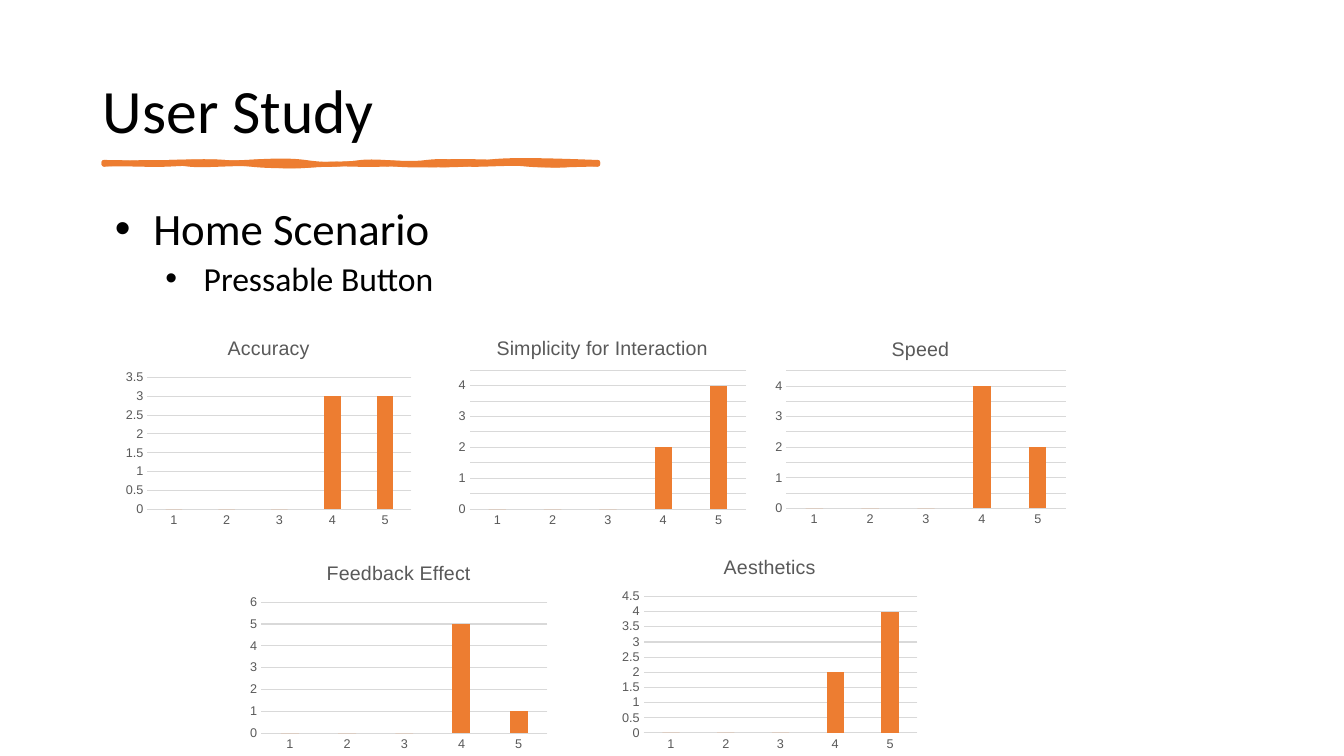
from lxml import etree
from pptx import Presentation
from pptx.chart.data import CategoryChartData
from pptx.dml.color import RGBColor
from pptx.enum.chart import XL_CHART_TYPE, XL_TICK_MARK
from pptx.enum.text import MSO_ANCHOR, MSO_AUTO_SIZE, PP_ALIGN
from pptx.oxml.ns import qn
from pptx.util import Inches, Pt

COLUMN = XL_CHART_TYPE.COLUMN_CLUSTERED
NO_TICK = XL_TICK_MARK.NONE
MIDDLE = MSO_ANCHOR.MIDDLE
NO_FIT = MSO_AUTO_SIZE.NONE
LEFT = PP_ALIGN.LEFT

ORANGE, BLACK, GREY, PALE = "ED7D31", "000000", "595959", "D9D9D9"

TITLE = "User Study"
# text, level, left margin, size, space before
BULLETS = [("Home Scenario", 0, 0.5, 32, 0), ("Pressable Button", 1, 1, 24, 5)]

SCORES = ["1", "2", "3", "4", "5"]
# title, votes for each score, (left, top, width, height)
CHARTS = [
    ("Accuracy", (0, 0, 0, 3, 3), (1.19, 3.2, 2.95, 2.08)),
    ("Simplicity for Interaction", (0, 0, 0, 2, 4), (4.49, 3.2, 2.97, 2.08)),
    ("Speed", (0, 0, 0, 4, 2), (7.63, 3.21, 3, 2.06)),
    ("Feedback Effect", (0, 0, 0, 5, 1), (2.42, 5.43, 3.07, 2.07)),
    ("Aesthetics", (0, 0, 0, 2, 4), (6.11, 5.37, 3.05, 2.13)),
]

# Brush strokes: a start point, then curves of two controls and an end
START = (1.03, 1.61)
STROKES = [
    [(1.32, 1.62, 1.39, 1.62, 1.68, 1.61), (1.96, 1.61, 1.97, 1.6, 2.23, 1.61),
     (2.49, 1.63, 2.59, 1.58, 2.83, 1.61), (3.07, 1.64, 3.4, 1.64, 3.58, 1.61),
     (3.76, 1.59, 4, 1.64, 4.23, 1.61), (4.46, 1.58, 4.66, 1.64, 4.83, 1.61),
     (5.01, 1.58, 5.41, 1.59, 5.93, 1.61), (5.93, 1.62, 5.93, 1.62, 5.93, 1.63),
     (5.74, 1.63, 5.43, 1.65, 5.23, 1.63), (5.02, 1.61, 4.91, 1.62, 4.62, 1.63),
     (4.34, 1.65, 4.12, 1.62, 3.83, 1.63), (3.53, 1.64, 3.38, 1.62, 3.18, 1.63),
     (2.98, 1.65, 2.87, 1.66, 2.62, 1.63), (2.37, 1.61, 2.03, 1.65, 1.87, 1.63),
     (1.72, 1.61, 1.42, 1.6, 1.03, 1.63)],
    [(1.34, 1.61, 1.38, 1.63, 1.68, 1.61), (1.98, 1.6, 2.11, 1.6, 2.23, 1.61),
     (2.35, 1.63, 2.75, 1.57, 3.03, 1.61), (3.31, 1.65, 3.41, 1.62, 3.68, 1.61),
     (3.95, 1.61, 4.07, 1.64, 4.33, 1.61), (4.59, 1.59, 4.81, 1.61, 5.13, 1.61),
     (5.45, 1.61, 5.73, 1.63, 5.93, 1.61), (5.93, 1.62, 5.93, 1.63, 5.93, 1.63),
     (5.71, 1.61, 5.62, 1.66, 5.32, 1.63), (5.03, 1.61, 4.81, 1.64, 4.62, 1.63),
     (4.44, 1.63, 4.18, 1.65, 3.92, 1.63), (3.67, 1.62, 3.47, 1.62, 3.27, 1.63),
     (3.07, 1.64, 2.74, 1.66, 2.48, 1.63), (2.21, 1.6, 1.89, 1.62, 1.68, 1.63),
     (1.47, 1.64, 1.21, 1.62, 1.03, 1.63)],
]
UNITS = 100  # pen units to the inch


def paint(color, code):
    color.rgb = RGBColor.from_string(code)


def style(font, name, size, code):
    font.name, font.size = name, Pt(size)
    paint(font.color, code)


def place(shape, *box):
    shape.left, shape.top, shape.width, shape.height = map(Inches, box)


def scale(*point):
    return [round(value * UNITS) for value in point]


def bend(line, curve):
    """Turn a straight segment into a cubic curve."""
    left, top = scale(*START)
    node = etree.Element(qn("a:cubicBezTo"))
    for i in (0, 2, 4):
        x, y = scale(*curve[i:i + 2])
        etree.SubElement(node, qn("a:pt"), x=str(x - left), y=str(y - top))
    line.getparent().replace(line, node)


def add_brush(slide):
    start = scale(*START)
    pen = slide.shapes.build_freeform(*start, scale=Inches(1) / UNITS)
    for i, curves in enumerate(STROKES):
        if i:
            pen.move_to(*start)
        pen.add_line_segments([scale(*curve[4:]) for curve in curves], close=True)
    shape = pen.convert_to_shape()
    lines = list(shape._element.iter(qn("a:lnTo")))
    for line, curve in zip(lines, sum(STROKES, [])):
        bend(line, curve)
    shape.shadow.inherit = False
    shape.fill.solid()
    paint(shape.fill.fore_color, ORANGE)
    paint(shape.line.color, ORANGE)
    shape.line.width = Pt(3.25)
    etree.SubElement(shape.line._get_or_add_ln(), qn("a:round"))


def add_bullet(para, margin):
    props = para._p.get_or_add_pPr()
    props.set("marL", str(Inches(margin)))
    props.set("indent", str(Inches(-0.38)))
    color = etree.SubElement(props, qn("a:buClr"))
    etree.SubElement(color, qn("a:srgbClr"), val=BLACK)
    etree.SubElement(props, qn("a:buFont"), typeface="Arial")
    etree.SubElement(props, qn("a:buChar"), char="•")


def add_votes(slide, title, votes, box):
    data = CategoryChartData()
    data.categories = SCORES
    data.add_series(title, votes)
    chart = slide.shapes.add_chart(COLUMN, *map(Inches, box), data).chart
    style(chart.font, "Arial", 10, BLACK)
    chart.has_legend = False
    chart.has_title = True
    chart.chart_title.include_in_layout = False
    head = chart.chart_title.text_frame
    head.text = title
    style(head.paragraphs[0].font, "Arial", 14, GREY)
    head.paragraphs[0].font.bold = False

    plot = chart.plots[0]
    plot.vary_by_categories = False
    plot.gap_width, plot.overlap = 219, -27
    bars = plot.series[0].format.fill
    bars.solid()
    paint(bars.fore_color, ORANGE)

    scores, counts = chart.category_axis, chart.value_axis
    for axis in (scores, counts):
        axis.major_tick_mark = axis.minor_tick_mark = NO_TICK
        style(axis.tick_labels.font, "Arial", 9, GREY)
    counts.format.line.fill.background()
    for line in (scores.format.line, counts.major_gridlines.format.line):
        paint(line.color, PALE)
        line.width = Pt(0.75)


def main():
    deck = Presentation()
    deck.slide_width, deck.slide_height = Inches(13.33), Inches(7.5)
    slide = deck.slides.add_slide(deck.slide_layouts[1])

    title, body = slide.placeholders
    place(title, 0.92, 0.4, 11.5, 1.45)
    title.text = TITLE
    title.text_frame.vertical_anchor = MIDDLE
    title.text_frame.auto_size = NO_FIT
    para = title.text_frame.paragraphs[0]
    para.alignment, para.line_spacing = LEFT, 0.9
    style(para.font, "Calibri", 44, BLACK)

    place(body, 0.92, 2, 11.5, 5.24)
    frame = body.text_frame
    frame.text = "\n".join(item[0] for item in BULLETS)
    frame.auto_size = NO_FIT
    for para, (_, level, margin, size, gap) in zip(frame.paragraphs, BULLETS):
        para.level = level
        para.line_spacing, para.space_before = 0.9, Pt(gap)
        add_bullet(para, margin)
        style(para.font, "Calibri", size, BLACK)

    add_brush(slide)
    for item in CHARTS:
        add_votes(slide, *item)
    deck.save("out.pptx")


if __name__ == "__main__":
    main()
